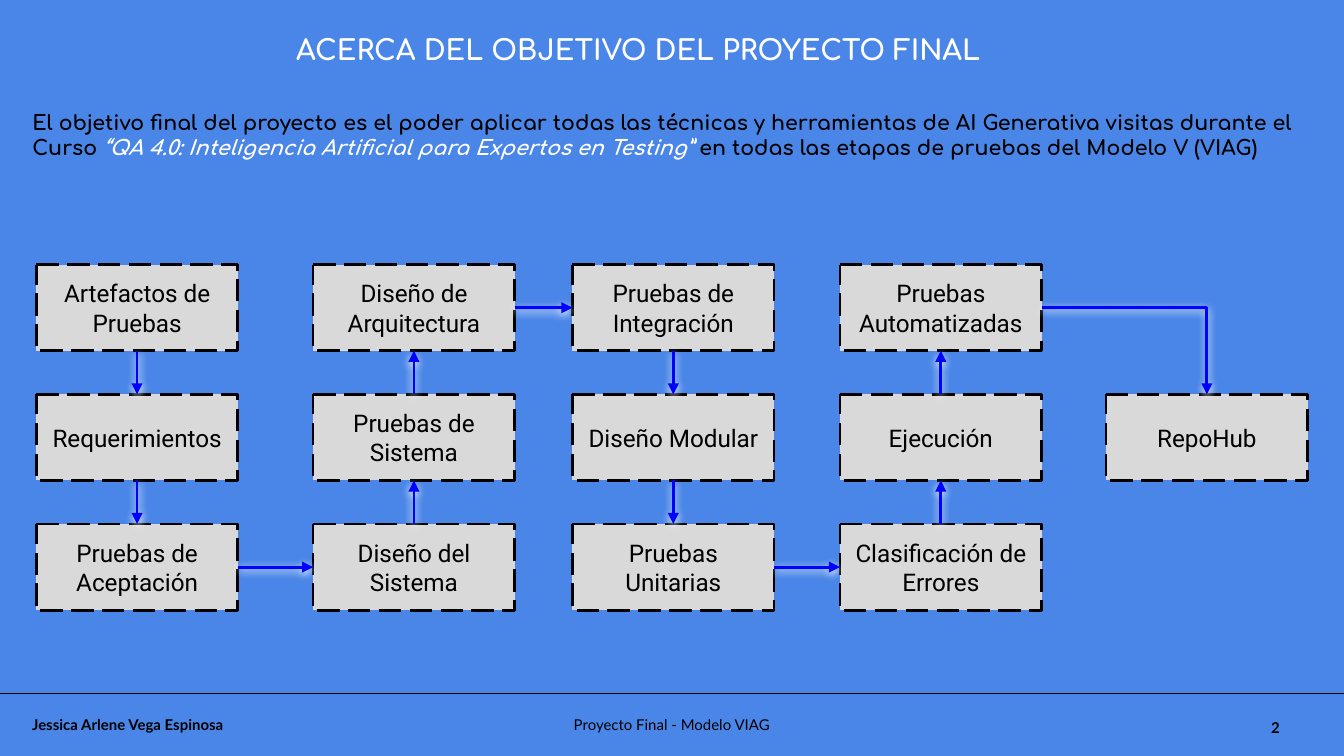
from itertools import pairwise

from lxml import etree
from pptx import Presentation
from pptx.dml.color import RGBColor
from pptx.enum.dml import MSO_LINE
from pptx.enum.shapes import MSO_CONNECTOR, MSO_SHAPE
from pptx.enum.text import MSO_ANCHOR, MSO_AUTO_SIZE, PP_ALIGN
from pptx.oxml.ns import qn
from pptx.util import Inches, Pt

BLACK = RGBColor(0x00, 0x00, 0x00)
WHITE = RGBColor(0xFF, 0xFF, 0xFF)
SKY = RGBColor(0x4A, 0x86, 0xE8)
GREY = RGBColor(0xD9, 0xD9, 0xD9)
ARROW_BLUE = RGBColor(0x00, 0x00, 0xFF)

PROCESS = MSO_SHAPE.FLOWCHART_PROCESS
STRAIGHT, ELBOW = MSO_CONNECTOR.STRAIGHT, MSO_CONNECTOR.ELBOW
LONG_DASH = MSO_LINE.LONG_DASH
TOP, MIDDLE = MSO_ANCHOR.TOP, MSO_ANCHOR.MIDDLE
LEFT, CENTER = PP_ALIGN.LEFT, PP_ALIGN.CENTER
FIXED = MSO_AUTO_SIZE.NONE

TOP_SITE, LEFT_SITE, BOTTOM_SITE, RIGHT_SITE = range(4)

COLUMN_OFFSETS = (0, 2.06, 3.99, 5.98, 7.96)
STEP_WIDTH, STEP_HEIGHT = 1.5, 0.64
STEPS = (
    (0, 0, "Artefactos de Pruebas"),
    (0, 1, "Requerimientos"),
    (0, 2, "Pruebas de Aceptación"),
    (1, 2, "Diseño del Sistema"),
    (1, 1, "Pruebas de Sistema"),
    (1, 0, "Diseño de Arquitectura"),
    (2, 0, "Pruebas de Integración"),
    (2, 1, "Diseño Modular"),
    (2, 2, "Pruebas Unitarias"),
    (3, 2, "Clasificación de Errores"),
    (3, 1, "Ejecución"),
    (3, 0, "Pruebas Automatizadas"),
    (4, 1, "RepoHub"),
)


def place(shape, left, top, width, height):
    shape.left, shape.top = Inches(left), Inches(top)
    shape.width, shape.height = Inches(width), Inches(height)


def write(shape, runs, font_name, size, align=LEFT, anchor=MIDDLE):
    frame = shape.text_frame
    frame.word_wrap = True
    frame.auto_size = FIXED
    frame.vertical_anchor = anchor
    frame.margin_left = frame.margin_right = Inches(0.1)
    frame.margin_top = frame.margin_bottom = Inches(0.1)
    paragraph = frame.paragraphs[0]
    paragraph.alignment = align
    paragraph.line_spacing = 1.0
    paragraph.space_before = Pt(0)
    for text, color, bold, italic in runs:
        run = paragraph.add_run()
        run.text = text
        run.font.name = font_name
        run.font.size = Pt(size)
        run.font.color.rgb = color
        run.font.bold = bold
        run.font.italic = italic
    return paragraph


def add_heading(slide, left, top, width, height):
    title = slide.shapes.title
    place(title, left, top, width, height)
    write(title, [("ACERCA DEL OBJETIVO DEL PROYECTO FINAL", WHITE, True, False)],
          "Comfortaa", 15, CENTER, TOP)


def add_objective(slide, left, top, width, height):
    objective = slide.placeholders[1]
    place(objective, left, top, width, height)
    paragraph = write(objective, [
        ("El objetivo final del proyecto es el poder aplicar todas las técnicas y "
         "herramientas de AI Generativa visitas durante el Curso ", BLACK, True, False),
        ("“QA 4.0: Inteligencia Artificial para Expertos en Testing”", WHITE, True, True),
        (" en todas las etapas de pruebas del Modelo V (VIAG)", BLACK, True, False),
    ], "Comfortaa", 11, LEFT, TOP)
    properties = paragraph._p.get_or_add_pPr()
    properties.set("marL", "0")
    properties.set("indent", "0")
    etree.SubElement(properties, qn("a:buNone"))


def add_step(slide, text, left, top):
    step = slide.shapes.add_shape(PROCESS, Inches(left), Inches(top),
                                  Inches(STEP_WIDTH), Inches(STEP_HEIGHT))
    step.shadow.inherit = False
    step.fill.solid()
    step.fill.fore_color.rgb = GREY
    step.line.color.rgb = BLACK
    step.line.width = Pt(1.5)
    step.line.dash_style = LONG_DASH
    write(step, [(text, BLACK, False, False)], "Roboto", 13, CENTER)
    return step


def add_line(slide, kind, start, end, color, width):
    line = slide.shapes.add_connector(kind, *map(Inches, start + end))
    line.line.color.rgb = color
    line.line.width = Pt(width)
    effects = etree.SubElement(line._element.spPr, qn("a:effectLst"))
    return line, effects


def add_arrow(slide, source, source_site, target, target_site, kind):
    arrow, effects = add_line(slide, kind, (0, 0), (0, 0), ARROW_BLUE, 1.5)
    arrow.begin_connect(source, source_site)
    arrow.end_connect(target, target_site)
    if kind == ELBOW:
        arrow._element.spPr.find(qn("a:prstGeom")).set("prst", "bentConnector2")
    etree.SubElement(arrow.line._get_or_add_ln(), qn("a:tailEnd"), type="triangle")
    glow = etree.SubElement(effects, qn("a:outerShdw"), blurRad=str(Pt(4.5)),
                            dist=str(Pt(1.5)), dir="5400000", algn="bl", rotWithShape="0")
    etree.SubElement(glow, qn("a:srgbClr"), val=str(WHITE))


def add_flow(slide, left, top, height):
    row_pitch = (height - STEP_HEIGHT) / 2
    placed = [
        (column, row, add_step(slide, text, left + COLUMN_OFFSETS[column],
                               top + row * row_pitch))
        for column, row, text in STEPS
    ]
    for (column, row, source), (next_column, next_row, target) in pairwise(placed):
        if column != next_column and row != next_row:
            route = RIGHT_SITE, TOP_SITE, ELBOW
        elif column != next_column:
            route = RIGHT_SITE, LEFT_SITE, STRAIGHT
        elif next_row > row:
            route = BOTTOM_SITE, TOP_SITE, STRAIGHT
        else:
            route = TOP_SITE, BOTTOM_SITE, STRAIGHT
        source_site, target_site, kind = route
        add_arrow(slide, source, source_site, target, target_site, kind)


def add_footer(slide, left, top, width, height):
    add_line(slide, STRAIGHT, (left, top), (left + width, top), BLACK, 0.75)
    for text, offset, drop, label_width, bold, align in (
        ("Jessica Arlene Vega Espinosa", 0.14, 0, 2.75, True, LEFT),
        ("Proyecto Final - Modelo VIAG", 3.63, 0, 2.74, False, CENTER),
        ("2", 9.36, 0.03, 0.6, True, LEFT),
    ):
        label = slide.shapes.add_textbox(Inches(left + offset), Inches(top + drop),
                                         Inches(label_width), Inches(height - drop))
        write(label, [(text, BLACK, bold, False)], "Lato", 8, align)


def main():
    presentation = Presentation()
    presentation.slide_width = Inches(10)
    presentation.slide_height = presentation.slide_width * 9 // 16
    slide = presentation.slides.add_slide(presentation.slide_layouts[1])
    slide.background.fill.solid()
    slide.background.fill.fore_color.rgb = SKY
    add_heading(slide, 0.14, 0.14, 9.22, 0.44)
    add_objective(slide, 0.14, 0.72, 9.59, 0.57)
    add_flow(slide, 0.27, 1.97, 2.57)
    add_footer(slide, 0, 5.16, 10, 0.47)
    presentation.save("out.pptx")


if __name__ == "__main__":
    main()
